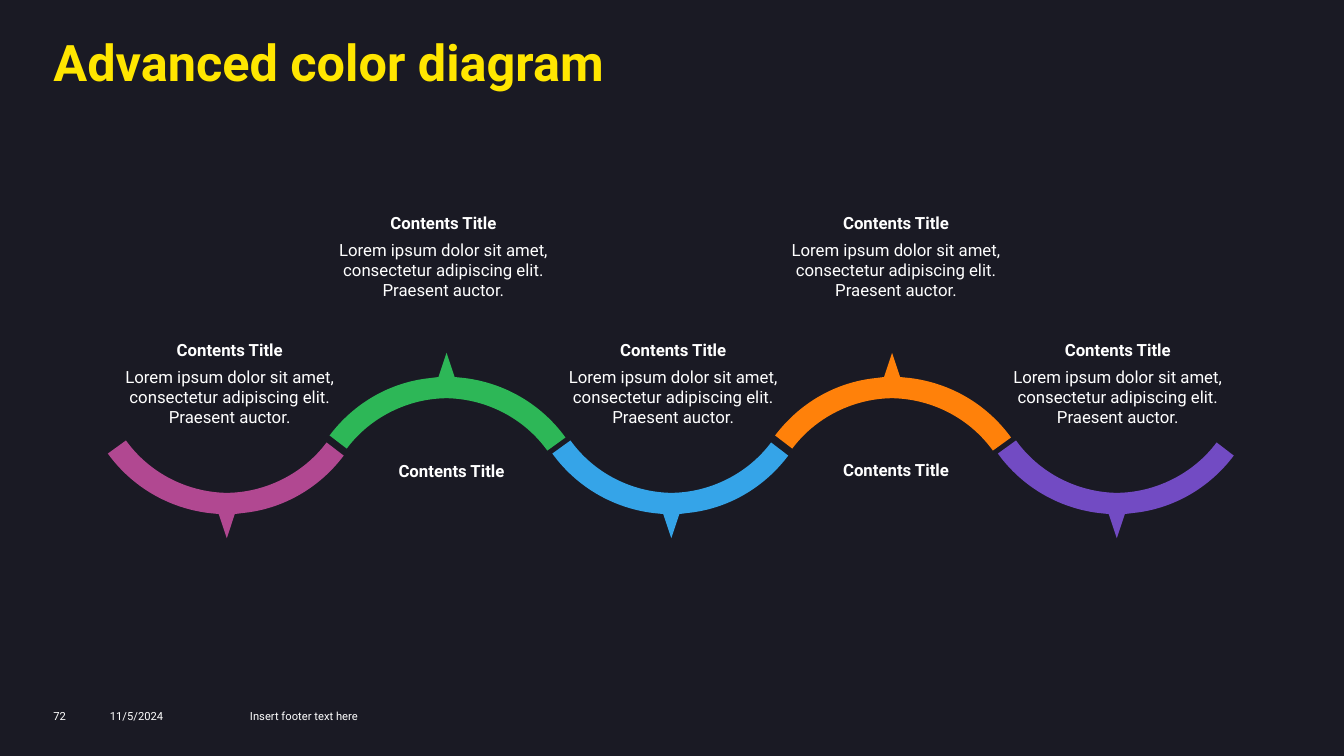
from dataclasses import dataclass

from lxml import etree
from pptx import Presentation
from pptx.dml.color import RGBColor
from pptx.enum.text import MSO_ANCHOR, MSO_AUTO_SIZE, PP_ALIGN
from pptx.oxml.ns import qn
from pptx.util import Emu, Pt

LEFT, CENTER = PP_ALIGN.LEFT, PP_ALIGN.CENTER
TOP = MSO_ANCHOR.TOP
NO_FIT, GROW = MSO_AUTO_SIZE.NONE, MSO_AUTO_SIZE.SHAPE_TO_FIT_TEXT

PX = 9144
SLIDE_SIZE = Emu(12192000), Emu(6858000)


@dataclass(frozen=True)
class Theme:
    font: str = "Roboto"
    background: str = "1A1A24"
    title: str = "FFE600"
    text: str = "FFFFFF"
    waves: tuple = ("B14891", "2DB757", "35A4E8", "FF810A", "724BC3")
    title_size: int = 36
    body_size: int = 12
    footer_size: int = 8


THEME = Theme()
HEADING = "Contents Title"
BODY = "Lorem ipsum dolor sit amet, consectetur adipiscing elit. Praesent auctor."
TEXT_LEFTS = (106, 318, 546, 767, 987)
WAVE_LEFT, WAVE_SPAN = 107, 883
FOOTERS = (
    ("72", 53, 56),
    ("11/5/2024", 109, 140),
    ("Insert footer text here", 248, 418),
)
WAVE_START = (118, 97)
WAVE_SEGMENTS = (
    [(126, 73)],
    [(134, 72)],
    [(174, 68), (210, 47), (234, 15)],
    [(217, 2)],
    [(194, 33), (156, 52), (117, 52)],
    [(78, 51), (41, 32), (18, 0)],
    [(0, 13)],
    [(24, 46), (60, 67), (100, 72)],
    [(110, 73)],
)


def px(value):
    return Emu(value * PX)


def rgb(value):
    return RGBColor.from_string(value)


def write(sp, text, *, size, color=THEME.text, bold=False, align=LEFT,
          inset=None, spacing=None, fit=NO_FIT):
    tf = sp.text_frame
    tf.word_wrap = True
    tf.auto_size = fit
    tf.vertical_anchor = TOP
    if inset is not None:
        tf.margin_left = tf.margin_right = px(inset)
        tf.margin_top = tf.margin_bottom = px(inset)
    p = tf.paragraphs[0]
    p.alignment = align
    if spacing:
        p.line_spacing = spacing
    r = p.add_run()
    r.text = text
    r.font.name = THEME.font
    r.font.size = Pt(size)
    r.font.bold = bold
    r.font.color.rgb = rgb(color)


def add_text(s, text, left, top, width, height, **fmt):
    sp = s.shapes.add_textbox(px(left), px(top), px(width), px(height))
    write(sp, text, **fmt)


def add_title(s, text):
    sp = s.shapes.title
    sp.left, sp.top, sp.width, sp.height = px(53), px(40), px(1228), px(51)
    write(sp, text, size=THEME.title_size, color=THEME.title, bold=True,
          inset=0, spacing=0.85)


def add_heading(s, left, top, width):
    add_text(s, HEADING, left, top, width, 30, size=THEME.body_size,
             bold=True, align=CENTER, fit=GROW)


def add_content(s, left, top):
    add_text(s, BODY, left, top + 27, 244, 71, size=THEME.body_size,
             align=CENTER, fit=GROW)
    add_heading(s, left, top, 244)


def bend_segments(sp):
    lines = iter(list(sp._element.iter(qn("a:lnTo"))))
    for segment in WAVE_SEGMENTS:
        group = [next(lines) for _ in segment]
        if len(group) == 3:
            curve = etree.Element(qn("a:cubicBezTo"))
            group[0].addprevious(curve)
            for line in group:
                curve.append(line[0])
                line.getparent().remove(line)


def add_wave(s, left, top, color, rotation):
    points = [pt for segment in WAVE_SEGMENTS for pt in segment]
    builder = s.shapes.build_freeform(*WAVE_START, scale=PX)
    builder.add_line_segments(points, close=True)
    sp = builder.convert_to_shape(px(left), px(top))
    bend_segments(sp)
    sp.left, sp.top = px(left), px(top)
    sp.shadow.inherit = False
    sp.fill.solid()
    sp.fill.fore_color.rgb = rgb(color)
    sp.line.fill.background()
    sp.rotation = rotation


def main():
    prs = Presentation()
    prs.slide_width, prs.slide_height = SLIDE_SIZE
    s = prs.slides.add_slide(prs.slide_layouts[5])
    s.background.fill.solid()
    s.background.fill.fore_color.rgb = rgb(THEME.background)

    add_title(s, "Advanced color diagram")
    for text, left, width in FOOTERS:
        add_text(s, text, left, 704, width, 13, size=THEME.footer_size, inset=0)

    for i, (text_left, color) in enumerate(zip(TEXT_LEFTS, THEME.waves)):
        raised = i % 2 == 1
        add_content(s, text_left, 206 if raised else 332)
        wave_left = WAVE_LEFT + WAVE_SPAN * i // 4
        add_wave(s, wave_left, 350 if raised else 437, color, 180 if raised else 0)

    for left, top in ((377, 452), (818, 451)):
        add_heading(s, left, top, 142)

    prs.save("out.pptx")


if __name__ == "__main__":
    main()
